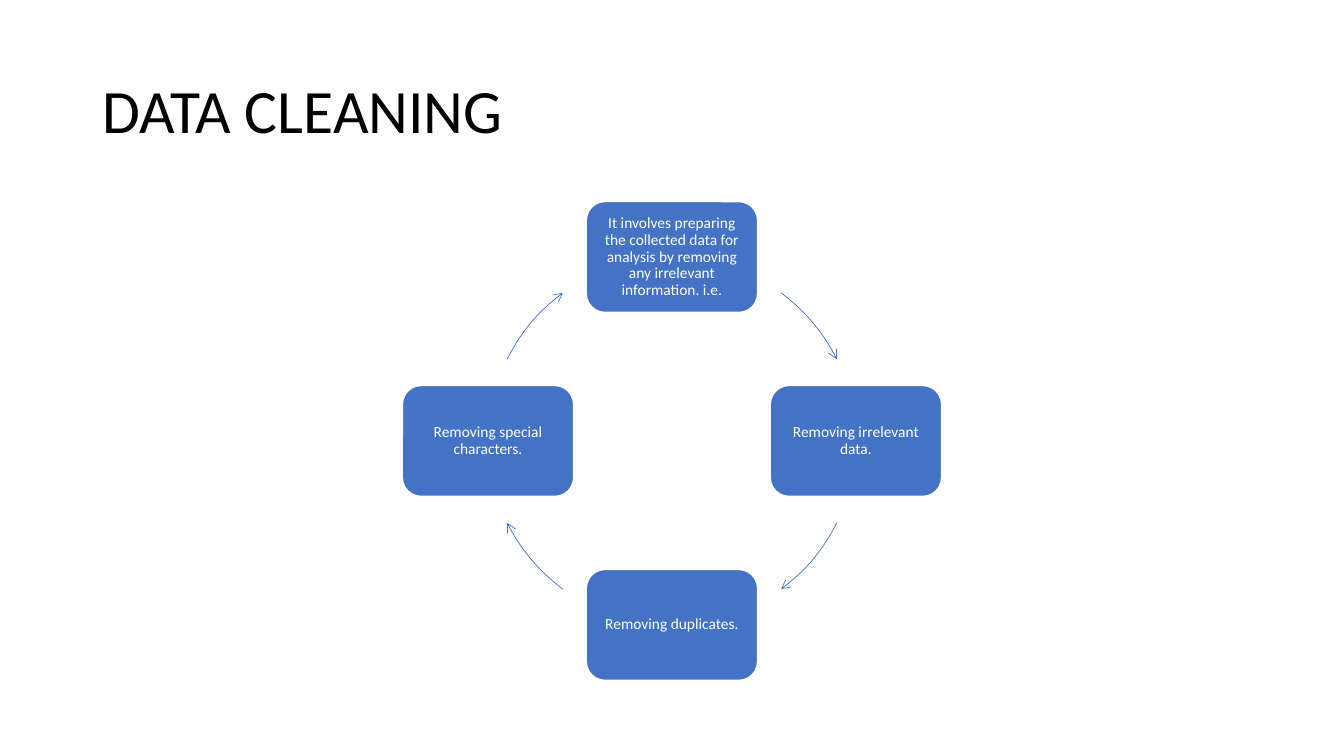
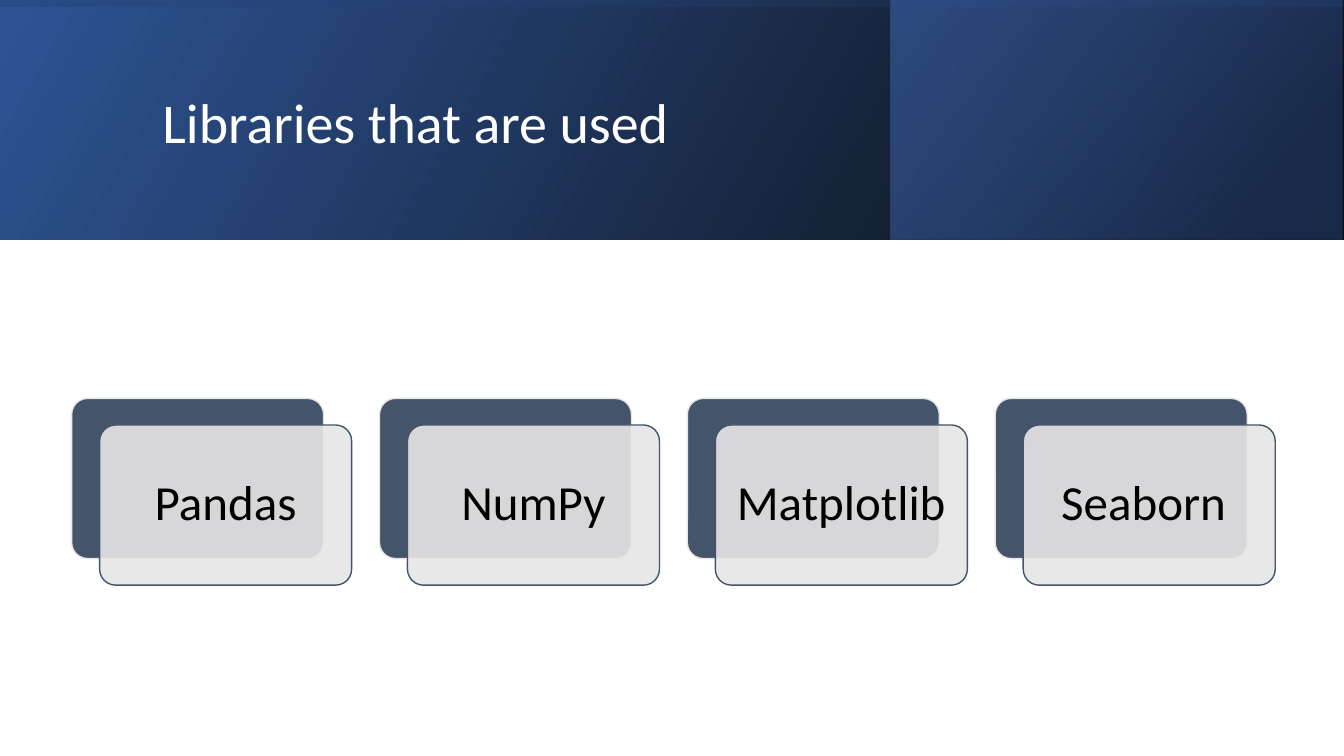
from dataclasses import dataclass
from math import cos, radians, sin

from lxml import etree
from pptx import Presentation
from pptx.dml.color import RGBColor
from pptx.enum.shapes import MSO_SHAPE
from pptx.enum.text import MSO_ANCHOR, PP_ALIGN
from pptx.oxml.ns import qn
from pptx.util import Pt

RECT, ROUND, ARC = MSO_SHAPE.RECTANGLE, MSO_SHAPE.ROUNDED_RECTANGLE, MSO_SHAPE.ARC
LEFT, CENTER = PP_ALIGN.LEFT, PP_ALIGN.CENTER
MIDDLE = MSO_ANCHOR.MIDDLE

WIDE, HIGH = 960, 540
BAND = 171
FACE = "Calibri"
BLACK, WHITE = "000000", "FFFFFF"
BLUE, NAVY, GREY = "4472C4", "44546A", "E7E6E6"


@dataclass(frozen=True)
class Box:
    left: float
    top: float
    wide: float
    high: float

    def pts(self) -> tuple:
        return tuple(Pt(n) for n in (self.left, self.top, self.wide, self.high))


@dataclass(frozen=True)
class Stop:
    place: float
    color: str
    alpha: int = 100


@dataclass(frozen=True)
class Band:
    box: Box
    angle: int
    stops: tuple[Stop, Stop]
    turn: int = 0


@dataclass(frozen=True)
class Style:
    size: float
    color: str
    align: PP_ALIGN = CENTER
    side: float = 7.2
    edge: float = 3.6


HEAD = Style(44, BLACK, LEFT)
BANNER = Style(40, WHITE, LEFT)
STEP = Style(11, WHITE, side=3.8, edge=3.8)
CARD = Style(35, BLACK, side=10.5, edge=10.5)

STEPS = (
    "It involves preparing the collected data for analysis by removing "
    "any irrelevant information. i.e.",
    "Removing irrelevant data.",
    "Removing duplicates.",
    "Removing special characters.",
)
TOOLS = ("Pandas", "NumPy", "Matplotlib", "Seaborn ")
BANDS = (
    Band(Box(0, 0, WIDE, BAND), 330, (Stop(0, BLACK, 96), Stop(1, "2F5597"))),
    Band(Box(636.3, 0, 322.8, BAND), 320,
         (Stop(0.19, "203864", 68), Stop(1, BLUE, 48))),
    Band(Box((WIDE - BAND) / 2, (BAND - WIDE) / 2, BAND, WIDE), 350,
         (Stop(0.23, "2F5597", 16), Stop(0.99, BLACK, 45)), 270),
)


def tint(color: str) -> RGBColor:
    return RGBColor.from_string(color)


def apply(target, values: dict) -> None:
    for name, value in values.items():
        setattr(target, name, value)


def fade(shape, alphas) -> None:
    """Give the colours of a shape, in order, their opacity in percent."""
    for node, alpha in zip(shape._element.iter(qn("a:srgbClr")), alphas):
        if alpha < 100:
            etree.SubElement(node, qn("a:alpha"), val=str(alpha * 1000))


def write(frame, text: str, style: Style) -> None:
    side, edge = Pt(style.side), Pt(style.edge)
    apply(frame, {"word_wrap": True, "vertical_anchor": MIDDLE,
                  "margin_left": side, "margin_right": side,
                  "margin_top": edge, "margin_bottom": edge})
    para = frame.paragraphs[0]
    apply(para, {"text": text, "alignment": style.align, "line_spacing": 0.9})
    apply(para.font, {"name": FACE, "size": Pt(style.size)})
    para.font.color.rgb = tint(style.color)


def title(slide, box: Box, text: str, style: Style) -> None:
    write(slide.shapes.add_textbox(*box.pts()).text_frame, text, style)


def outline(shape, color: str, width: float) -> None:
    shape.line.color.rgb = tint(color)
    shape.line.width = Pt(width)


def panel(slide, box: Box, fill: str, line: str, curve: float):
    shape = slide.shapes.add_shape(ROUND, *box.pts())
    shape.shadow.inherit = False
    shape.adjustments[0] = curve
    shape.fill.solid()
    shape.fill.fore_color.rgb = tint(fill)
    outline(shape, line, 1)
    return shape


def arrow(slide, box: Box, start: float, end: float) -> None:
    """Draw a clockwise arc with an open head; angles are in degrees."""
    shape = slide.shapes.add_shape(ARC, *box.pts())
    shape.shadow.inherit = False
    for i, angle in enumerate((start, end)):
        shape.adjustments[i] = angle % 360 * 0.6
    shape.fill.background()
    outline(shape, BLUE, 0.5)
    etree.SubElement(shape.line._get_or_add_ln(), qn("a:tailEnd"), type="arrow")


def stripe(slide, band: Band) -> None:
    shape = slide.shapes.add_shape(RECT, *band.box.pts())
    shape.shadow.inherit = False
    shape.rotation = band.turn
    shape._element.spPr.find(qn("a:xfrm")).set("flipH", "1")
    shape.line.fill.background()
    shape.fill.gradient()
    shape.fill.gradient_angle = 360 - band.angle
    for mark, stop in zip(shape.fill.gradient_stops, band.stops):
        mark.position = stop.place
        mark.color.rgb = tint(stop.color)
    fade(shape, [stop.alpha for stop in band.stops])


def cycle(slide) -> None:
    mid_x, mid_y, reach = 480, 315, 131.4
    wide, high = 122.4, 79.2
    ring = Box(mid_x - reach, mid_y - reach, 2 * reach, 2 * reach)
    for i, text in enumerate(STEPS):
        turn = radians(90 * i - 90)
        box = Box(mid_x + reach * cos(turn) - wide / 2,
                  mid_y + reach * sin(turn) - high / 2, wide, high)
        write(panel(slide, box, BLUE, WHITE, 0.17).text_frame, text, STEP)
    for mid in (-40, 40, 140, 220):
        arrow(slide, ring, mid - 13.6, mid + 13.6)


def cards(slide) -> None:
    left, top, pitch = 51.2, 284.6, 219.9
    wide, high = 180, 114.4
    for i, text in enumerate(TOOLS):
        x = left + i * pitch
        panel(slide, Box(x, top, wide, high), NAVY, GREY, 0.1)
        front = panel(slide, Box(x + 20, top + 19, wide, high), GREY, NAVY, 0.1)
        fade(front, [90])
        write(front.text_frame, text, CARD)


def main() -> None:
    deck = Presentation()
    apply(deck, {"slide_width": Pt(WIDE), "slide_height": Pt(HIGH)})
    first, second = (deck.slides.add_slide(deck.slide_layouts[6])
                     for _ in range(2))

    title(first, Box(66, 28.8, 828, 104.4), "DATA CLEANING", HEAD)
    cycle(first)

    for band in BANDS:
        stripe(second, band)
    title(second, Box(109, 27.4, 765.4, 123.8), "Libraries that are used", BANNER)
    cards(second)

    deck.save("out.pptx")


if __name__ == "__main__":
    main()
